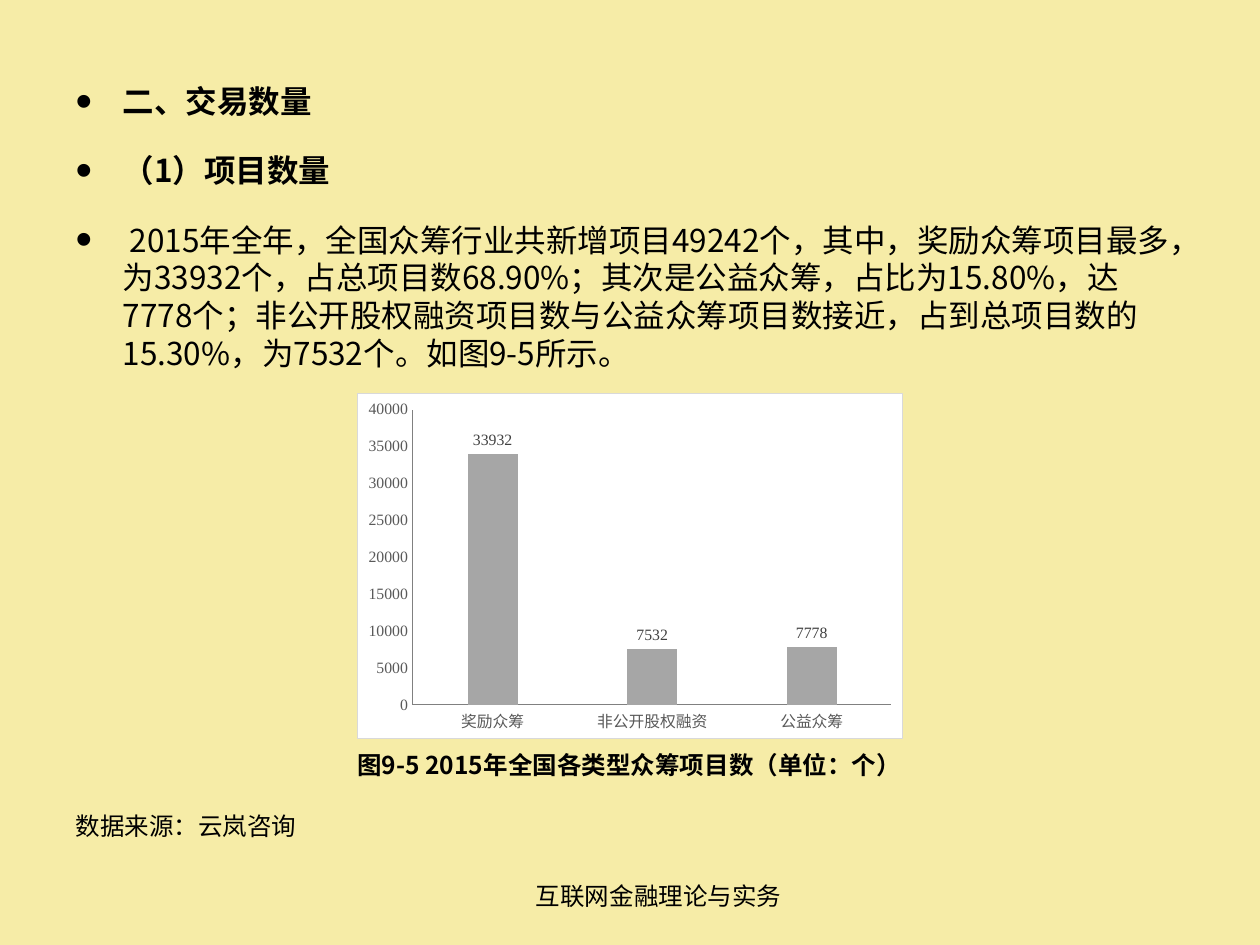
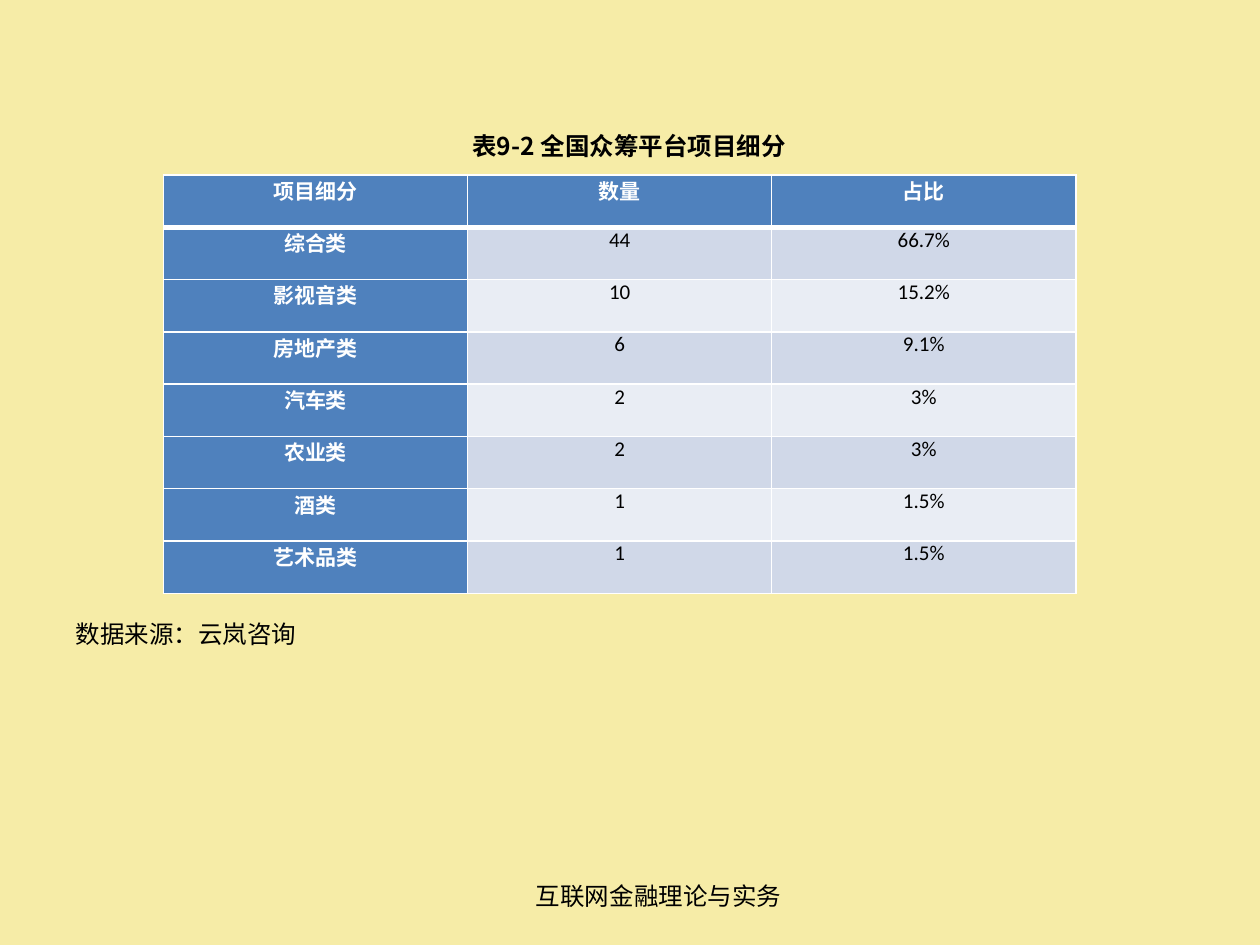
import pptx
import pptx.chart.data
import pptx.dml.color
import pptx.enum.chart
import pptx.enum.text
import pptx.oxml
import pptx.oxml.ns
import pptx.util
from lxml import etree

Pt = pptx.util.Pt
qn = pptx.oxml.ns.qn
CENTER = pptx.enum.text.PP_ALIGN.CENTER
LEFT = pptx.enum.text.PP_ALIGN.LEFT

COLORS = {
    "background": "F6ECA7", "text": "000000", "white": "FFFFFF",
    "header": "4F81BD", "band_dark": "D0D8E8", "band_light": "E9EDF4",
    "bar": "A6A6A6", "axis": "808080", "axis_text": "595959",
    "label_text": "404040", "chart_border": "D9D9D9",
}
RGB = {name: pptx.dml.color.RGBColor.from_string(value) for name, value in COLORS.items()}
BODY_FONT = "Noto Sans CJK SC"
FOOTER = "互联网金融理论与实务"
SOURCE = "数据来源：云岚咨询"


def format_runs(paragraph, size, bold=False, color="text", latin=BODY_FONT):
    for run in paragraph.runs:
        run.font.name = latin
        run.font.size = Pt(size)
        run.font.bold = bold
        run.font.color.rgb = RGB[color]
        east_asian = etree.SubElement(run.font._element, qn("a:ea"))
        east_asian.set("typeface", BODY_FONT)


def fill_body(body, items):
    """Write items of (text, size, bold, alignment, bulleted, space before)."""
    frame = body.text_frame
    frame.auto_size = pptx.enum.text.MSO_AUTO_SIZE.NONE
    frame.text = "\n".join(item[0] for item in items)
    for paragraph, item in zip(frame.paragraphs, items):
        text, size, bold, alignment, bulleted, space_before = item
        properties = paragraph._p.get_or_add_pPr()
        properties.set("marL", str(Pt(27) if bulleted else 0))
        properties.set("indent", str(Pt(-27) if bulleted else 0))
        if bulleted:
            etree.SubElement(properties, qn("a:buSzPct")).set("val", "150000")
            etree.SubElement(properties, qn("a:buFont")).set("typeface", "Arial")
            etree.SubElement(properties, qn("a:buChar")).set("char", "•")
        else:
            etree.SubElement(properties, qn("a:buNone"))
        paragraph.alignment = alignment
        paragraph.space_before = Pt(space_before)
        format_runs(paragraph, size, bold)


presentation = pptx.Presentation()
presentation.slide_width = Pt(720)
presentation.slide_height = Pt(540)

# Shared background
background = presentation.slide_master.background.fill
background.solid()
background.fore_color.rgb = RGB["background"]

# Shared slide frame: body position and footer
slides = []
for body_top, body_height in [(43.2, 447.8), (71.3, 408.2)]:
    slide = presentation.slides.add_slide(presentation.slide_layouts[1])
    title = slide.shapes.title
    title.element.getparent().remove(title.element)
    body = slide.placeholders[1]
    body.left, body.top = Pt(36), Pt(body_top)
    body.width, body.height = Pt(647.3), Pt(body_height)
    footer = slide.shapes.add_textbox(Pt(220.5), Pt(500), Pt(311.8), Pt(24.5))
    footer.text_frame.word_wrap = True
    footer.text_frame.text = FOOTER
    paragraph = footer.text_frame.paragraphs[0]
    paragraph.alignment = CENTER
    format_runs(paragraph, 14)
    slides.append((slide, body))

# Slide 1: number of projects, with room for the chart above its caption
slide, body = slides[0]
fill_body(body, [
    ("二、交易数量", 18, True, LEFT, True, 0),
    ("（1）项目数量", 18, True, LEFT, True, 18),
    (" 2015年全年，全国众筹行业共新增项目49242个，其中，奖励众筹项目最多，为33932个，"
     "占总项目数68.90%；其次是公益众筹，占比为15.80%，达7778个；非公开股权融资项目数与"
     "公益众筹项目数接近，占到总项目数的15.30%，为7532个。如图9-5所示。",
     18, False, LEFT, True, 18),
    ("图9-5 2015年全国各类型众筹项目数（单位：个）", 14, True, CENTER, False, 216),
    (SOURCE, 14, False, LEFT, False, 18),
])

# Column chart
chart_data = pptx.chart.data.CategoryChartData()
chart_data.categories = ["奖励众筹", "非公开股权融资", "公益众筹"]
chart_data.add_series("项目数", [33932, 7532, 7778])
chart = slide.shapes.add_chart(
    pptx.enum.chart.XL_CHART_TYPE.COLUMN_CLUSTERED,
    Pt(204), Pt(224.6), Pt(312), Pt(198), chart_data).chart
chart.has_title = False
chart.has_legend = False
chart.font.name = "Calibri"
chart.font.size = Pt(10)
chart.font.color.rgb = RGB["text"]
chart_area = pptx.oxml.parse_xml(
    '<c:spPr xmlns:c="http://schemas.openxmlformats.org/drawingml/2006/chart"'
    ' xmlns:a="http://schemas.openxmlformats.org/drawingml/2006/main">'
    f'<a:solidFill><a:srgbClr val="{COLORS["white"]}"/></a:solidFill>'
    f'<a:ln w="{Pt(0.75)}"><a:solidFill><a:srgbClr val="{COLORS["chart_border"]}"/>'
    '</a:solidFill></a:ln></c:spPr>')
chart.element.find(qn("c:chart")).addnext(chart_area)

for axis, font_name in [(chart.category_axis, "Calibri"), (chart.value_axis, "Times New Roman")]:
    axis.has_major_gridlines = False
    axis.major_tick_mark = pptx.enum.chart.XL_TICK_MARK.NONE
    axis.minor_tick_mark = pptx.enum.chart.XL_TICK_MARK.NONE
    axis.format.line.color.rgb = RGB["axis"]
    axis.format.line.width = Pt(0.75)
    axis.tick_labels.font.name = font_name
    axis.tick_labels.font.size = Pt(9)
    axis.tick_labels.font.color.rgb = RGB["axis_text"]
chart.value_axis.minimum_scale = 0
chart.value_axis.maximum_scale = 40000
chart.value_axis.major_unit = 5000

plot = chart.plots[0]
plot.gap_width = 219
plot.overlap = -27
plot.vary_by_categories = False
bar_fill = plot.series[0].format.fill
bar_fill.solid()
bar_fill.fore_color.rgb = RGB["bar"]
plot.has_data_labels = True
labels = plot.data_labels
labels.show_value = True
labels.position = pptx.enum.chart.XL_LABEL_POSITION.OUTSIDE_END
labels.font.name = "Times New Roman"
labels.font.size = Pt(9)
labels.font.color.rgb = RGB["label_text"]

# Slide 2: platform breakdown, with room for the table below its caption
slide, body = slides[1]
fill_body(body, [
    ("表9-2 全国众筹平台项目细分", 14, True, CENTER, False, 0),
    (SOURCE, 14, False, LEFT, False, 262),
])

# Table
rows = [
    ("项目细分", "数量", "占比"),
    ("综合类", "44", "66.7%"),
    ("影视音类", "10", "15.2%"),
    ("房地产类", "6", "9.1%"),
    ("汽车类", "2", "3%"),
    ("农业类", "2", "3%"),
    ("酒类", "1", "1.5%"),
    ("艺术品类", "1", "1.5%"),
]
table = slide.shapes.add_table(
    len(rows), 3, Pt(93.4), Pt(100), Pt(521.4), Pt(239)).table
for column in table.columns:
    column.width = Pt(173.8)
for row_index, values in enumerate(rows):
    table.rows[row_index].height = Pt(29.88)
    for column_index, value in enumerate(values):
        cell = table.cell(row_index, column_index)
        is_header = row_index == 0 or column_index == 0
        cell.margin_left = cell.margin_right = Pt(5)
        cell.margin_top = cell.margin_bottom = 0
        cell.text = value
        paragraph = cell.text_frame.paragraphs[0]
        paragraph.alignment = CENTER
        format_runs(paragraph, 12, is_header, "white" if is_header else "text", "Calibri")
        band = "band_dark" if row_index % 2 else "band_light"
        cell.fill.solid()
        cell.fill.fore_color.rgb = RGB["header" if is_header else band]
        # White borders, thicker under the header row
        thick_side = {0: "lnB", 1: "lnT"}.get(row_index)
        for position, side in enumerate(["lnL", "lnR", "lnT", "lnB"]):
            border = etree.Element(qn("a:" + side))
            border.set("w", str(Pt(3 if side == thick_side else 1)))
            border_fill = etree.SubElement(border, qn("a:solidFill"))
            etree.SubElement(border_fill, qn("a:srgbClr")).set("val", COLORS["white"])
            cell._tc.get_or_add_tcPr().insert(position, border)

presentation.save("out.pptx")
